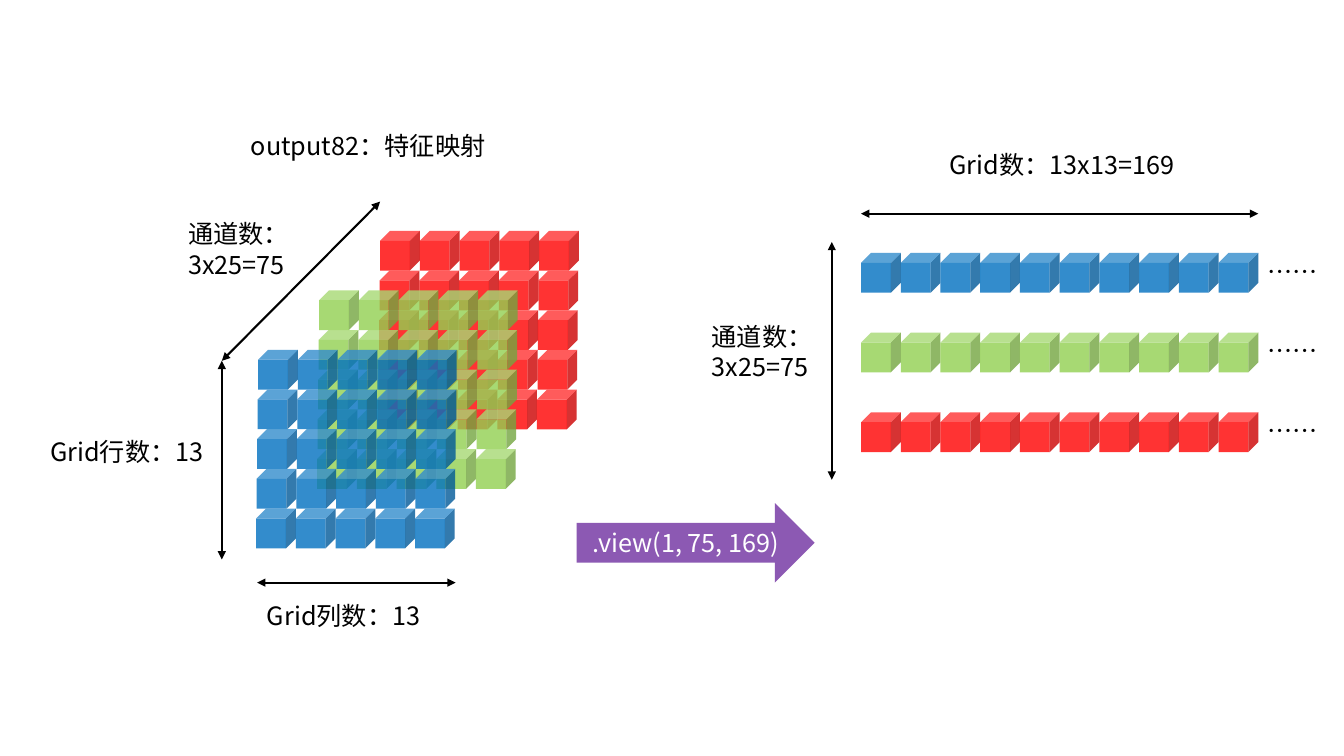
from itertools import product

from pptx import Presentation
from pptx.dml.color import RGBColor
from pptx.enum.shapes import MSO_CONNECTOR as Connector, MSO_SHAPE as Preset
from pptx.enum.text import MSO_ANCHOR as Anchor, PP_ALIGN as Align
from pptx.oxml.ns import qn
from pptx.util import Inches, Pt
from lxml.etree import SubElement

FONT = "Noto Sans CJK SC"
RED, GREEN, BLUE = "FF0000", "92D050", "0070C0"
BLACK, WHITE, PURPLE = "000000", "FFFFFF", "7030A0"
GRID_SIZE = 5
STRIP_LENGTH = 10
CUBE = 1.97 / GRID_SIZE
ROW_DRIFT = -0.005
LABEL_HEIGHT = 0.4


def color(hex_value):
    """Turn a hex string into a colour."""
    return RGBColor.from_string(hex_value)


def add_solid(shapes, preset, left, top, width, height, hex_value):
    """Add a preset shape with an 80% opaque fill and no outline."""
    shape = shapes.add_shape(preset, *map(Inches, (left, top, width, height)))
    shape.shadow.inherit = False
    shape.line.fill.background()
    shape.fill.solid()
    shape.fill.fore_color.rgb = color(hex_value)
    fill_color = shape.fill._xPr.find(qn("a:solidFill"))[0]
    SubElement(fill_color, qn("a:alpha"), val="80000")
    return shape


def write_text(shape, text, hex_value):
    """Write one wrapped paragraph into a shape and return it."""
    shape.text_frame.word_wrap = True
    paragraph = shape.text_frame.paragraphs[0]
    run = paragraph.add_run()
    run.text = text
    for name, value in {"name": FONT, "size": Pt(18)}.items():
        setattr(run.font, name, value)
    run.font.color.rgb = color(hex_value)
    SubElement(run.font._element, qn("a:ea"), typeface=FONT)
    return paragraph


def add_label(slide, text, left, top, width, height=LABEL_HEIGHT):
    """Add a black, left-aligned label."""
    box = slide.shapes.add_textbox(*map(Inches, (left, top, width, height)))
    write_text(box, text, BLACK).alignment = Align.LEFT


def add_dimension(slide, start, end):
    """Add a black line with an arrowhead at both ends."""
    line = slide.shapes.add_connector(
        Connector.STRAIGHT, *map(Inches, (*start, *end)))
    line.line.width = Pt(1.5)
    line.line.color.rgb = color(BLACK)
    for end_tag in ("a:headEnd", "a:tailEnd"):
        SubElement(line.line._ln, qn(end_tag), type="triangle")
    SubElement(line._element.spPr, qn("a:effectLst"))


def add_layer(slide, left, top, hex_value):
    """Add a grouped square grid of cubes, drifting slightly left downwards."""
    group = slide.shapes.add_group_shape()
    for row, column in product(range(GRID_SIZE), repeat=2):
        add_solid(group.shapes, Preset.CUBE,
                  left + column * CUBE + row * ROW_DRIFT, top + row * CUBE,
                  CUBE, CUBE, hex_value)


def add_strip(slide, left, top, hex_value):
    """Add a row of cubes that ends in an ellipsis."""
    for column in range(STRIP_LENGTH):
        add_solid(slide.shapes, Preset.CUBE, left + column * CUBE, top,
                  CUBE, CUBE, hex_value)
    add_label(slide, "……", 12.47, top - 0.02, 1.57)


def add_operation(slide, text, left, top, width, height):
    """Add the block arrow that names the reshaping call."""
    arrow = add_solid(slide.shapes, Preset.RIGHT_ARROW,
                      left, top, width, height, PURPLE)
    arrow.text_frame.vertical_anchor = Anchor.MIDDLE
    write_text(arrow, text, WHITE).alignment = Align.CENTER


def main():
    """Build the slide and save it."""
    presentation = Presentation()
    presentation.slide_width = Inches(13.33)
    presentation.slide_height = Inches(7.5)
    slide = presentation.slides.add_slide(presentation.slide_layouts[6])

    for index, layer_color in enumerate((RED, GREEN, BLUE)):
        add_layer(slide, 3.77 - index * 0.605, 2.29 + index * 0.59, layer_color)
    for index, strip_color in enumerate((BLUE, GREEN, RED)):
        add_strip(slide, 8.54, 2.51 + index * 0.79, strip_color)

    dimensions = (
        ((2.2, 3.58), (3.77, 2)),
        ((2.2, 5.55), (2.2, 3.58)),
        ((4.52, 5.78), (2.55, 5.78)),
        ((8.25, 4.76), (8.25, 2.4)),
        ((12.48, 2.12), (8.54, 2.12)),
    )
    for start, end in dimensions:
        add_dimension(slide, start, end)

    labels = (
        ("output82：特征映射", 2.39, 1.24, 3.15),
        ("Grid行数：13", 0.4, 4.28, 1.97),
        ("Grid列数：13", 2.55, 5.91, 1.97),
        ("Grid数：13x13=169", 9.32, 1.43, 3.15),
        ("通道数：3x25=75", 1.77, 2.12, 1.57, 0.71),
        ("通道数：3x25=75", 6.96, 3.14, 1.57, 0.71),
    )
    for label in labels:
        add_label(slide, *label)

    add_operation(slide, ".view(1, 75, 169)", 5.72, 4.99, 2.36, 0.79)
    presentation.save("out.pptx")


main()
